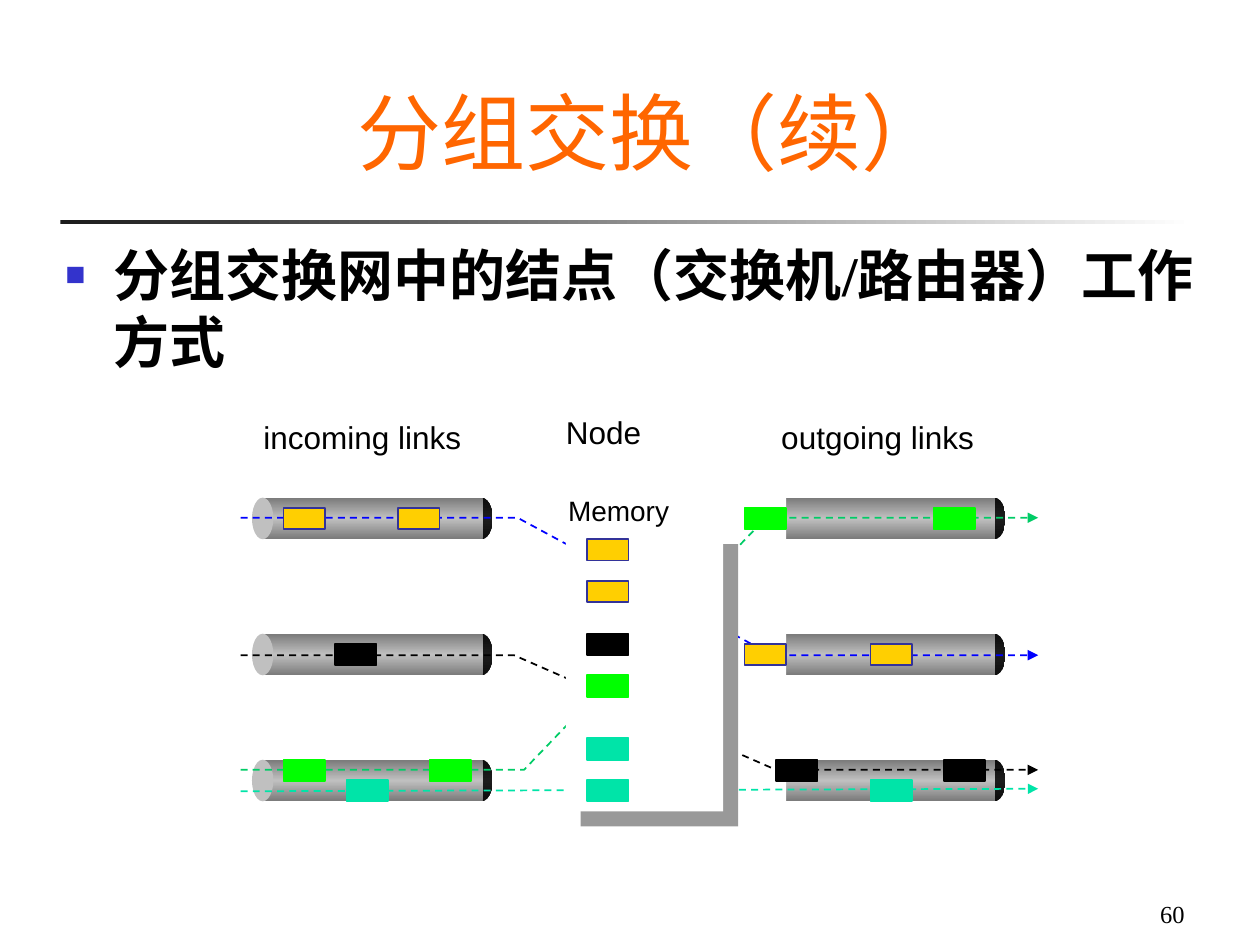
from copy import deepcopy

from lxml.etree import SubElement
from pptx import Presentation
from pptx.dml.color import RGBColor
from pptx.enum.dml import MSO_LINE
from pptx.enum.shapes import MSO_CONNECTOR, MSO_SHAPE
from pptx.enum.text import MSO_ANCHOR, PP_ALIGN
from pptx.oxml.ns import qn
from pptx.util import Inches, Pt

WHITE = RGBColor(0xFF, 0xFF, 0xFF)
BLACK = RGBColor(0x00, 0x00, 0x00)
CHARCOAL = RGBColor(0x1C, 0x1C, 0x1C)
CAP_EDGE = RGBColor(0x0D, 0x0D, 0x0D)
PIPE_EDGE = RGBColor(0x7A, 0x7A, 0x7A)
SILVER = RGBColor(0xC0, 0xC0, 0xC0)
ORANGE = RGBColor(0xFF, 0x66, 0x00)
BLUE = RGBColor(0x00, 0x00, 0xFF)
NAVY = RGBColor(0x33, 0x33, 0x99)
YELLOW = RGBColor(0xFF, 0xCF, 0x01)
LIME = RGBColor(0x00, 0xFF, 0x00)
EMERALD = RGBColor(0x00, 0xCC, 0x66)
TEAL = RGBColor(0x00, 0xE4, 0xA8)

ROWS = (0, 1.08, 2.08)
INCOMING = [(YELLOW, 0.25, 0.08), (YELLOW, 1.16, 0.08), (BLACK, 0.66, 1.16),
            (LIME, 0.25, 2.08), (LIME, 1.41, 2.08), (TEAL, 0.75, 2.24)]
STORED = [(YELLOW, 0.17, 0.08), (YELLOW, 0.17, 0.41), (BLACK, 0.17, 0.83),
          (LIME, 0.17, 1.16), (TEAL, 0.17, 1.66), (TEAL, 0.17, 1.99)]
OUTGOING = [(LIME, -0.16, 0.08), (LIME, 1.34, 0.08), (YELLOW, -0.16, 1.16),
            (YELLOW, 0.84, 1.16), (BLACK, 0.09, 2.08), (BLACK, 1.42, 2.08),
            (TEAL, 0.84, 2.24)]


def add_block(shapes, kind, left, top, width, height, colors, angle=90, outline=None):
    """Add a preset shape with a solid or evenly stepped gradient fill."""
    block = shapes.add_shape(kind, Inches(left), Inches(top), Inches(width), Inches(height))
    block.shadow.inherit = False
    if len(colors) == 1:
        block.fill.solid()
        block.fill.fore_color.rgb = colors[0]
    else:
        block.fill.gradient()
        block.fill.gradient_angle = angle
        stop_list = block._element.spPr.find(".//" + qn("a:gsLst"))
        for _ in colors[2:]:
            stop_list.append(deepcopy(stop_list[0]))
        for i, (stop, color) in enumerate(zip(block.fill.gradient_stops, colors)):
            stop.color.rgb = color
            stop.position = i / (len(colors) - 1)
    if outline is None:
        block.line.fill.background()
    else:
        block.line.color.rgb = outline
        block.line.width = Pt(1)
    return block


def add_text(slide, left, top, width, height, words, size, font, align, inset=True, wrap=False):
    """Add a one-paragraph text box and return it."""
    box = slide.shapes.add_textbox(Inches(left), Inches(top), Inches(width), Inches(height))
    frame = box.text_frame
    frame.word_wrap = wrap
    if not inset:
        frame.margin_left = frame.margin_right = frame.margin_top = frame.margin_bottom = 0
    paragraph = frame.paragraphs[0]
    paragraph.alignment = align
    run = paragraph.add_run()
    run.text = words
    run.font.size = Pt(size)
    run.font.name = font
    run.font.color.rgb = BLACK
    return box


def add_heading(slide, left, top, width, height):
    """Place the title and the fading rule below it."""
    add_block(slide.shapes, MSO_SHAPE.RECTANGLE, left - 0.44, top + 1.25, 9, 0.03,
              (CHARCOAL, WHITE), angle=0)
    title = slide.shapes.title
    title.left, title.top = Inches(left), Inches(top)
    title.width, title.height = Inches(width), Inches(height)
    title.text_frame.vertical_anchor = MSO_ANCHOR.BOTTOM
    paragraph = title.text_frame.paragraphs[0]
    paragraph.alignment = PP_ALIGN.CENTER
    run = paragraph.add_run()
    run.text = "分组交换（续）"
    run.font.size = Pt(48)
    run.font.name = "Cabin"
    run.font.color.rgb = ORANGE


def add_body(slide, left, top, width, height):
    """Place the bulleted statement."""
    statement = add_text(slide, left, top, width, height,
                         "分组交换网中的结点（交换机/路由器）工作方式",
                         32, "Times New Roman", PP_ALIGN.LEFT, wrap=True)
    paragraph = statement.text_frame.paragraphs[0]
    paragraph.runs[0].font.bold = True
    properties = paragraph._p.get_or_add_pPr()
    properties.set("marL", str(Inches(0.38)))
    properties.set("indent", str(-Inches(0.38)))
    bullet_color = SubElement(properties, qn("a:buClr"))
    SubElement(bullet_color, qn("a:srgbClr"), val="3333CC")
    SubElement(properties, qn("a:buSzPct"), val="60000")
    SubElement(properties, qn("a:buFont"), typeface="Arial")
    SubElement(properties, qn("a:buChar"), char="■")


def add_pipes(slide, left, top):
    """Stack one cylinder for each link."""
    for row in ROWS:
        pipe = slide.shapes.add_group_shape().shapes
        add_block(pipe, MSO_SHAPE.OVAL, left + 1.74, top + row, 0.17, 0.33,
                  (CAP_EDGE, CHARCOAL, CAP_EDGE))
        add_block(pipe, MSO_SHAPE.RECTANGLE, left + 0.08, top + row, 1.75, 0.33,
                  (PIPE_EDGE, SILVER, PIPE_EDGE))
        add_block(pipe, MSO_SHAPE.OVAL, left, top + row, 0.17, 0.33, (SILVER,))


def style_route(route, color):
    """Give a route its dashes and arrowhead."""
    route.line.color.rgb = color
    route.line.width = Pt(1)
    route.line.dash_style = MSO_LINE.DASH
    SubElement(route.line._get_or_add_ln(), qn("a:tailEnd"), type="triangle")


def add_routes(slide, left, top):
    """Draw the packet routes from incoming to outgoing links."""
    stream = slide.shapes.add_connector(MSO_CONNECTOR.STRAIGHT, Inches(left), Inches(top + 2.17),
                                        Inches(left + 6.33), Inches(top + 2.15))
    style_route(stream, TEAL)
    SubElement(stream._element.spPr, qn("a:effectLst"))
    for color, start, end, bend_in, bend_out in (
            (EMERALD, 2, 0, 2.25, 4.17),
            (BLUE, 0, 1.09, 2.2, 4.22),
            (BLACK, 1.09, 2, 2.17, 4.25)):
        points = [(Inches(left + x), Inches(top + y)) for x, y in
                  ((0, start), (bend_in, start), (bend_out, end), (6.33, end))]
        builder = slide.shapes.build_freeform(*points[0])
        builder.add_line_segments(points[1:], close=False)
        route = builder.convert_to_shape()
        route.shadow.inherit = False
        route.fill.background()
        style_route(route, color)


def add_memory(slide, left, top, width, height):
    """Draw the node's memory with its hard offset shadow."""
    memory = add_block(slide.shapes, MSO_SHAPE.RECTANGLE, left, top, width, height, (WHITE,))
    effects = memory._element.spPr.find(qn("a:effectLst"))
    shadow = SubElement(effects, qn("a:outerShdw"), dist=str(Pt(12.1)), dir="2700000",
                        algn="ctr", rotWithShape="0")
    SubElement(shadow, qn("a:srgbClr"), val="999999")


def add_packets(slide, left, top, packets):
    """Place packets at offsets from a region's corner."""
    for color, x, y in packets:
        add_block(slide.shapes, MSO_SHAPE.RECTANGLE, left + x, top + y, 0.33, 0.17, (color,),
                  outline=NAVY if color == YELLOW else color)


def add_diagram(slide, left, top):
    """Assemble the links, node, routes and packets."""
    link_top, node_left, node_top = top + 0.67, left + 2.58, top + 0.92
    in_left, out_left = left + 0.09, left + 4.16
    add_pipes(slide, out_left, link_top)
    add_block(slide.shapes, MSO_SHAPE.RECTANGLE, left + 2, top + 0.58, 2.33, 2.91, (WHITE,))
    add_pipes(slide, in_left, link_top)
    for words, x, y, width in (("incoming links", 0.18, 0.04, 1.57),
                               ("Node", 2.58, 0, 0.6),
                               ("outgoing links", 4.29, 0.04, 1.53)):
        add_text(slide, left + x, top + y, width, 0.3, words, 18, "Arial",
                 PP_ALIGN.CENTER, inset=False)
    add_routes(slide, left, top + 0.83)
    add_memory(slide, node_left, node_top, 1.25, 2.24)
    add_packets(slide, in_left, link_top, INCOMING)
    add_packets(slide, node_left, node_top, STORED)
    add_packets(slide, out_left, link_top, OUTGOING)
    add_text(slide, left + 2.5, top + 0.59, 1, 0.36, "Memory", 16, "Arial", PP_ALIGN.CENTER)


def main():
    """Build and save the slide."""
    deck = Presentation()
    deck.slide_width, deck.slide_height = Inches(10), Inches(7.5)
    slide = deck.slides.add_slide(deck.slide_layouts[5])
    add_heading(slide, 0.92, 0.5, 8.5, 0.99)
    add_body(slide, 0.42, 1.86, 9.25, 4.77)
    number = add_text(slide, 7.42, 6.92, 2.08, 0.5, "60", 14, "Times New Roman",
                      PP_ALIGN.RIGHT, wrap=True)
    number.text_frame.vertical_anchor = MSO_ANCHOR.BOTTOM
    add_diagram(slide, 1.91, 3.28)
    deck.save("out.pptx")


if __name__ == "__main__":
    main()
